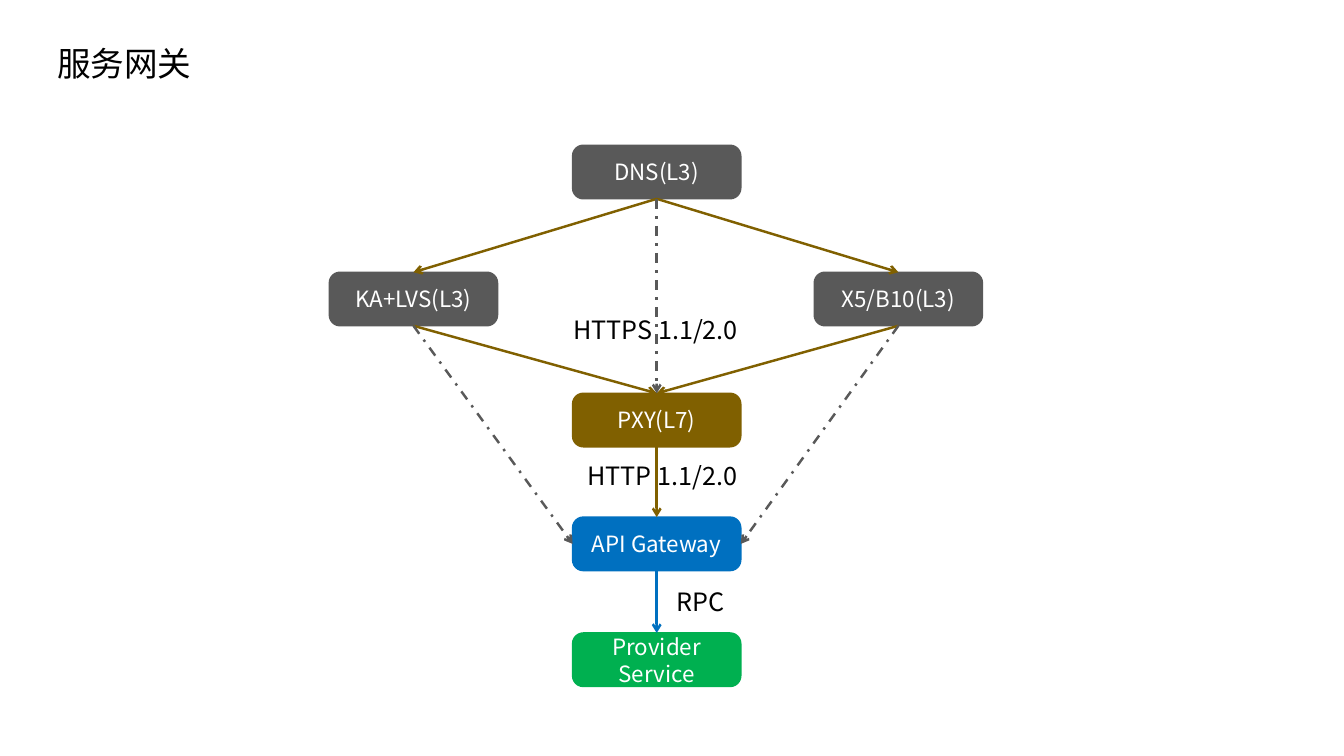
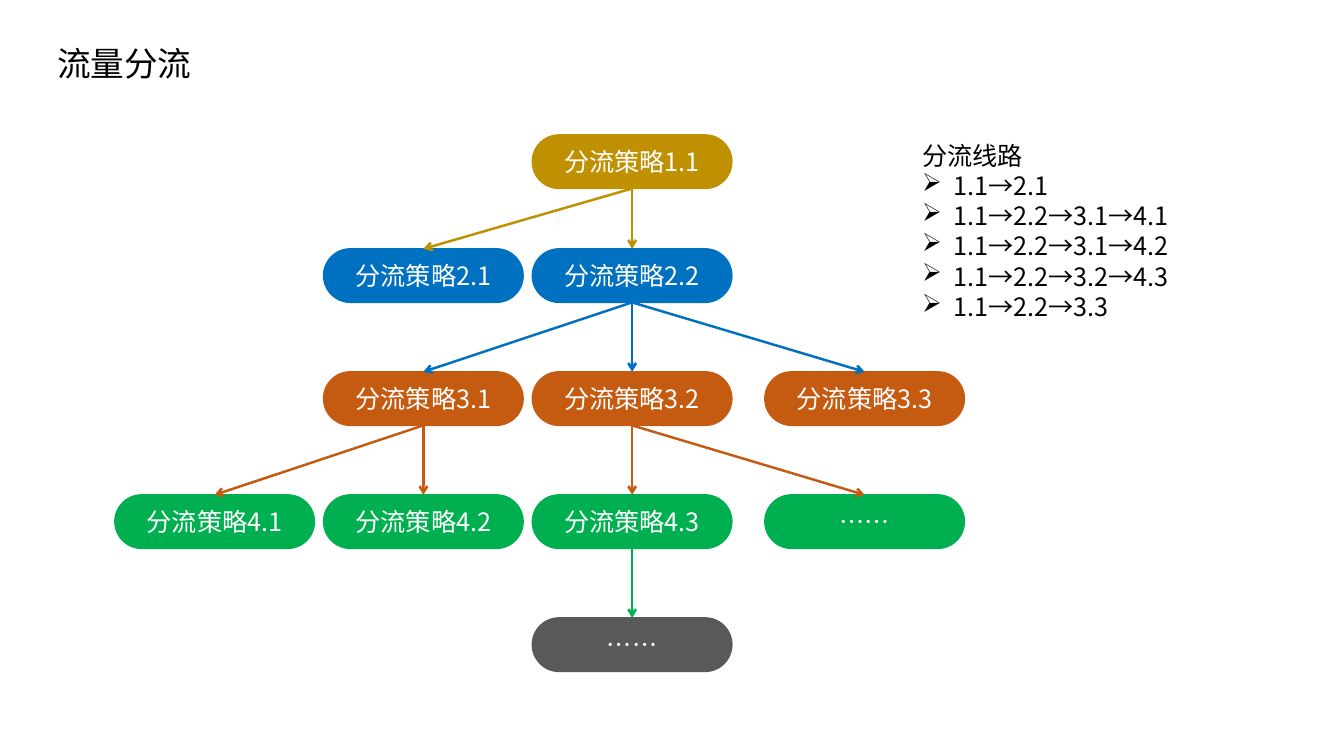
"""Build two slides: a service gateway diagram and a traffic splitting tree."""
import lxml.etree
import pptx
import pptx.dml.color
import pptx.enum.dml
import pptx.enum.shapes
import pptx.enum.text
import pptx.oxml.ns
import pptx.util

Cm = pptx.util.Cm
qn = pptx.oxml.ns.qn
ALIGN = pptx.enum.text.PP_ALIGN
MIDDLE = pptx.enum.text.MSO_ANCHOR.MIDDLE
GROW = pptx.enum.text.MSO_AUTO_SIZE.SHAPE_TO_FIT_TEXT
DASH_DOT = pptx.enum.dml.MSO_LINE.DASH_DOT

FONT = "Noto Sans CJK SC"
BLACK, WHITE, GRAY = "000000", "FFFFFF", "595959"
BLUE, GREEN, BROWN = "0070C0", "00B050", "806000"
GOLD, ORANGE = "BF9000", "C55A11"
BOX_HEIGHT = 1.35
TOP, LEFT, BOTTOM, RIGHT = range(4)


def rgb(code):
    """Return the colour for a hex string."""
    return pptx.dml.color.RGBColor.from_string(code)


def apply(target, values):
    """Set every attribute in a dict of format values."""
    for name, value in values.items():
        setattr(target, name, value)


def write(shape, text, size, colour, frame_format, paragraph_format):
    """Put formatted text in a shape, one paragraph a line."""
    frame = shape.text_frame
    frame.text = text
    apply(frame, frame_format)
    for paragraph in frame.paragraphs:
        apply(paragraph, paragraph_format)
        for run in paragraph.runs:
            apply(run.font, {"name": FONT, "size": pptx.util.Pt(size)})
            run.font.color.rgb = rgb(colour)
    for properties in shape.element.iter(qn("a:rPr")):
        lxml.etree.SubElement(properties, qn("a:ea"), typeface=FONT)


def add_text(slide, place, text, size=18, frame_format=None, paragraph_format=None):
    """Add a black text box at left, top, width, height."""
    box = slide.shapes.add_textbox(*map(Cm, place))
    write(box, text, size, BLACK, frame_format or {}, paragraph_format or {})
    return box


def add_titled_slide(deck, title):
    """Add a blank slide with the shared title style."""
    slide = deck.slides.add_slide(deck.slide_layouts[6])
    add_text(slide, (1.19, 1.02, 31.17, 1.27), title, 24,
             {"word_wrap": True, "vertical_anchor": MIDDLE}, {"line_spacing": 0.9})
    return slide


def add_node(slide, text, centre, top, colour, width, size, rounding):
    """Add a rounded node centred on a column."""
    node = slide.shapes.add_shape(
        pptx.enum.shapes.MSO_SHAPE.ROUNDED_RECTANGLE,
        Cm(centre - width / 2), Cm(top), Cm(width), Cm(BOX_HEIGHT))
    node.adjustments[0] = rounding
    node.shadow.inherit = False
    node.fill.solid()
    node.fill.fore_color.rgb = rgb(colour)
    node.line.color.rgb = rgb(colour)
    node.line.width = pptx.util.Pt(1)
    write(node, text, size, WHITE,
          {"word_wrap": True, "vertical_anchor": MIDDLE}, {"alignment": ALIGN.CENTER})
    return node


def add_arrow(slide, source, target, colour, dash=None, side=TOP):
    """Link the bottom of one node to a side of another."""
    arrow = slide.shapes.add_connector(
        pptx.enum.shapes.MSO_CONNECTOR.STRAIGHT, 0, 0, 0, 0)
    arrow.begin_connect(source, BOTTOM)
    arrow.end_connect(target, side)
    arrow.line.color.rgb = rgb(colour)
    apply(arrow.line, {"width": pptx.util.Pt(1.75), "dash_style": dash})
    outline = arrow.element.spPr
    lxml.etree.SubElement(outline.find(qn("a:ln")), qn("a:tailEnd"), type="arrow")
    lxml.etree.SubElement(outline, qn("a:effectLst"))


def add_bullet(paragraph, indent):
    """Give a paragraph an arrowhead bullet with a hanging indent."""
    properties = paragraph._p.get_or_add_pPr()
    properties.set("marL", str(indent))
    properties.set("indent", str(-indent))
    lxml.etree.SubElement(properties, qn("a:buChar"), char="➢")


def build_gateway(deck):
    """Build the service gateway slide."""
    slide = add_titled_slide(deck, "服务网关")
    left, middle, right = 10.42, 16.55, 22.64
    layers = {
        "balancer": ("KA+LVS(L3)", left, 6.86, GRAY),
        "proxy": ("PXY(L7)", middle, 9.91, BROWN),
        "dns": ("DNS(L3)", middle, 3.66, GRAY),
        "appliance": ("X5/B10(L3)", right, 6.86, GRAY),
        "gateway": ("API Gateway", middle, 13.03, BLUE),
        "provider": ("Provider\nService", middle, 15.95, GREEN),
    }
    nodes = {key: add_node(slide, *layer, width=4.24, size=16, rounding=0.2)
             for key, layer in layers.items()}
    for protocol, x, y, width in (("HTTP 1.1/2.0", 14.55, 11.48, 4.42),
                                  ("HTTPS 1.1/2.0", 14.2, 7.8, 4.8),
                                  ("RPC", 16.79, 14.66, 1.75)):
        add_text(slide, (x, y, width, 1.02), protocol,
                 frame_format={"word_wrap": False, "auto_size": GROW})
    for source, target, *style in (
            ("dns", "balancer", BROWN), ("dns", "appliance", BROWN),
            ("balancer", "proxy", BROWN), ("appliance", "proxy", BROWN),
            ("proxy", "gateway", BROWN), ("gateway", "provider", BLUE),
            ("dns", "proxy", GRAY, DASH_DOT),
            ("balancer", "gateway", GRAY, DASH_DOT, LEFT),
            ("appliance", "gateway", GRAY, DASH_DOT, RIGHT)):
        add_arrow(slide, nodes[source], nodes[target], *style)


def build_splitting(deck):
    """Build the traffic splitting slide."""
    slide = add_titled_slide(deck, "流量分流")
    columns = (5.41, 10.67, 15.93, 21.79)
    tiers = (
        (3.4, GOLD, {2: "分流策略1.1"}),
        (6.27, BLUE, {1: "分流策略2.1", 2: "分流策略2.2"}),
        (9.37, ORANGE, {1: "分流策略3.1", 2: "分流策略3.2", 3: "分流策略3.3"}),
        (12.47, GREEN, {0: "分流策略4.1", 1: "分流策略4.2", 2: "分流策略4.3", 3: "……"}),
        (15.57, GRAY, {2: "……"}),
    )
    branches = ({2: (1, 2)}, {2: (1, 2, 3)}, {1: (0, 1), 2: (2, 3)}, {2: (2,)})
    nodes = [{column: add_node(slide, policy, columns[column], top, colour,
                               width=5.03, size=18, rounding=0.5)
              for column, policy in policies.items()}
             for top, colour, policies in tiers]
    for level, links in enumerate(branches):
        for parent, children in links.items():
            for child in children:
                add_arrow(slide, nodes[level][parent], nodes[level + 1][child],
                          tiers[level][1])
    routes = ("1.1→2.1", "1.1→2.2→3.1→4.1", "1.1→2.2→3.1→4.2",
              "1.1→2.2→3.2→4.3", "1.1→2.2→3.3")
    route_list = add_text(slide, (22.99, 3.4, 9.37, 4.88),
                          "\n".join(("分流线路", *routes)),
                          frame_format={"word_wrap": True, "auto_size": GROW})
    for route in route_list.text_frame.paragraphs[1:]:
        add_bullet(route, Cm(0.79))


def main():
    """Build and save the deck."""
    deck = pptx.Presentation()
    apply(deck, {"slide_width": Cm(33.87), "slide_height": Cm(19.05)})
    build_gateway(deck)
    build_splitting(deck)
    deck.save("out.pptx")


main()
